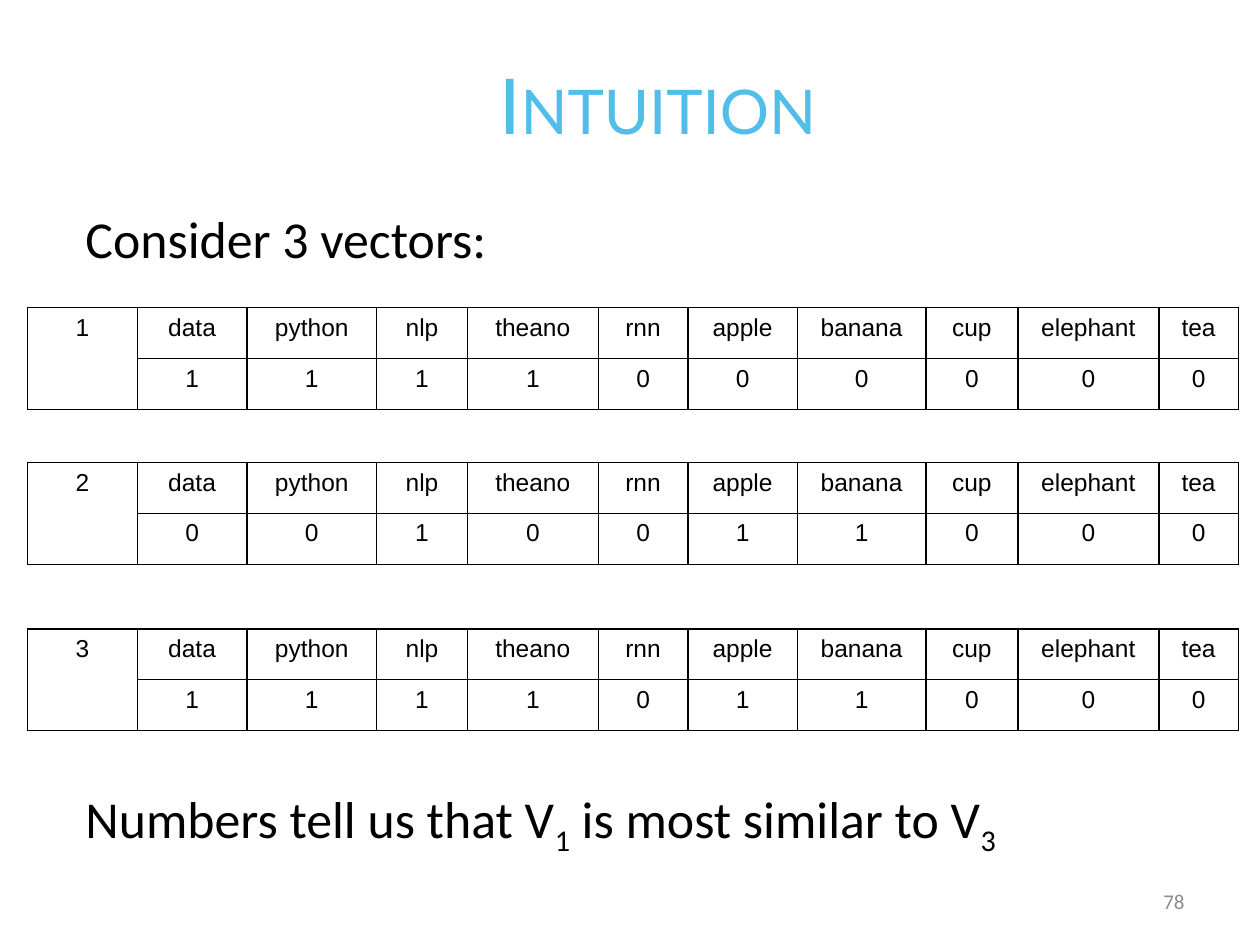
"""Build the Intuition slide, which compares three word vectors."""
from lxml.etree import SubElement
from pptx import Presentation
from pptx.dml.color import RGBColor
from pptx.enum.text import MSO_ANCHOR as Anchor, PP_ALIGN as Align
from pptx.oxml.ns import qn
from pptx.util import Inches, Pt


def color(code):
    return RGBColor.from_string(code)


def write(par, text, size, face, code, **marks):
    run = par.add_run()
    run.text = text
    style = {"size": Pt(size), "name": face}
    for key, val in style.items():
        setattr(run.font, key, val)
    run.font.color.rgb = color(code)
    for key, val in marks.items():
        run._r.get_or_add_rPr().set(key, val)


deck = Presentation()
deck.slide_width, deck.slide_height = Inches(10), Inches(7.5)
slide = deck.slides.add_slide(deck.slide_layouts[6])

boxes = {
    "number": (7.17, 6.95, 2.33, 0.4, Anchor.MIDDLE, Align.RIGHT),
    "body": (0.58, 1.59, 8.74, 5.1, Anchor.TOP, Align.LEFT),
    "title": (0.75, 0.27, 8.94, 1.1, Anchor.MIDDLE, Align.CENTER),
}
frames = {}
for name, (left, top, wide, high, anchor, align) in boxes.items():
    box = slide.shapes.add_textbox(Inches(left), Inches(top), Inches(wide), Inches(high))
    frame = box.text_frame
    frame.word_wrap = True
    frame.vertical_anchor = anchor
    frame.paragraphs[0].alignment = align
    frames[name] = frame

write(frames["number"].paragraphs[0], "78", 12, "Calibri", "8C8C8C")
write(frames["title"].paragraphs[0], "Intuition", 44, "Lato", "51BDE9", cap="small")

plain = (29.6, "Calibri", "000000")
write(frames["body"].paragraphs[0], "Consider 3 vectors:", *plain)
close = frames["body"].add_paragraph()
close.space_before = Pt(296)
for text, sub in (("Numbers tell us that V", "1"), (" is most similar to V", "3")):
    write(close, text, *plain)
    write(close, sub, *plain, baseline="-25000")

words = "data python nlp theano rnn apple banana cup elephant tea".split()
widths = [0.87, 0.87, 1.03, 0.72, 1.04, 0.71, 0.87, 1.02, 0.73, 1.12, 0.63]
vectors = [(2.44, "1111000000"), (3.67, "0010011000"), (4.99, "1111011000")]

for index, (top, bits) in enumerate(vectors, 1):
    rows = [[str(index), *words], ["", *bits]]
    table = slide.shapes.add_table(
        2, len(widths), Inches(0.22), Inches(top), Inches(sum(widths)), Inches(0.81)
    ).table
    table.first_row = table.horz_banding = False
    for col, wide in zip(table.columns, widths):
        col.width = Inches(wide)
    table.cell(0, 0).merge(table.cell(1, 0))
    for r, row in enumerate(rows):
        for c, text in enumerate(row):
            cell = table.cell(r, c)
            props = cell._tc.get_or_add_tcPr()
            for side in ("a:lnL", "a:lnR", "a:lnT", "a:lnB"):
                line = SubElement(props, qn(side), w=str(Pt(1)))
                fill = SubElement(line, qn("a:solidFill"))
                SubElement(fill, qn("a:srgbClr"), val="000000")
            cell.fill.background()
            if text:
                par = cell.text_frame.paragraphs[0]
                par.alignment = Align.CENTER
                write(par, text, 14, "Arial", "000000")

deck.save("out.pptx")
